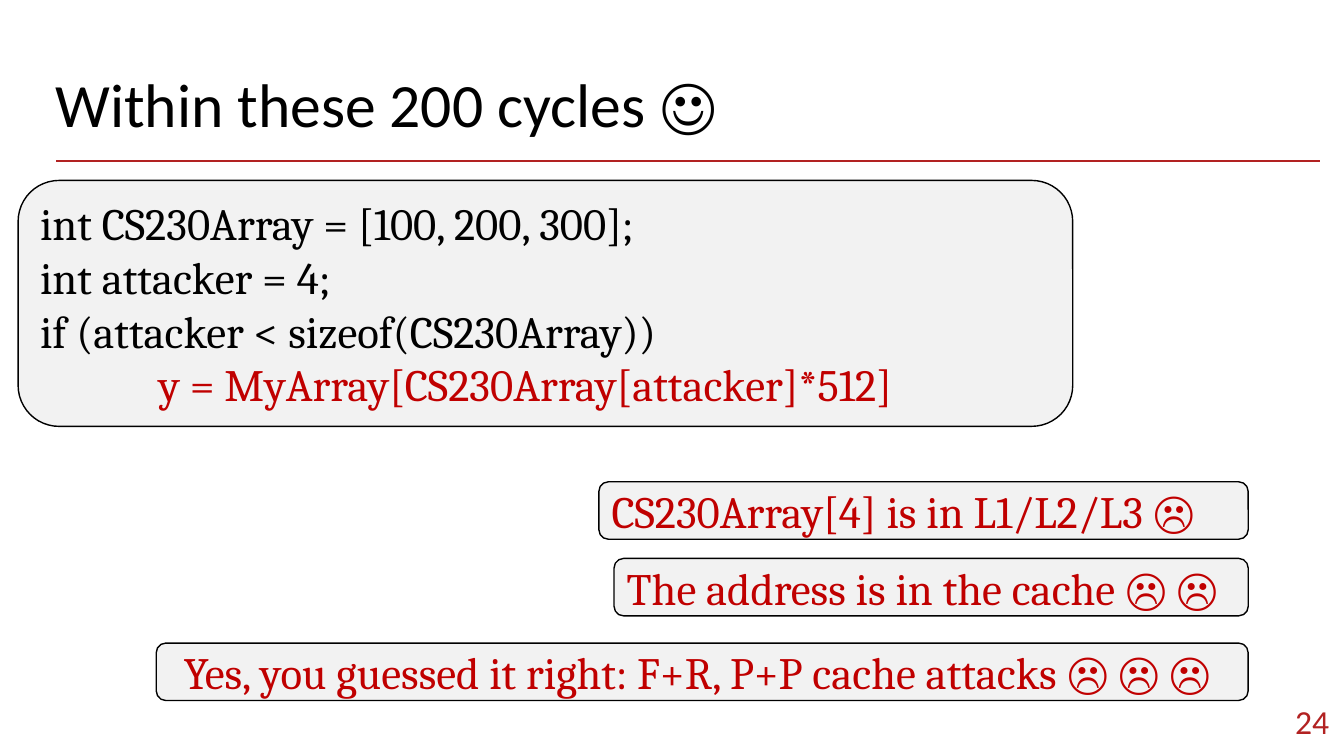
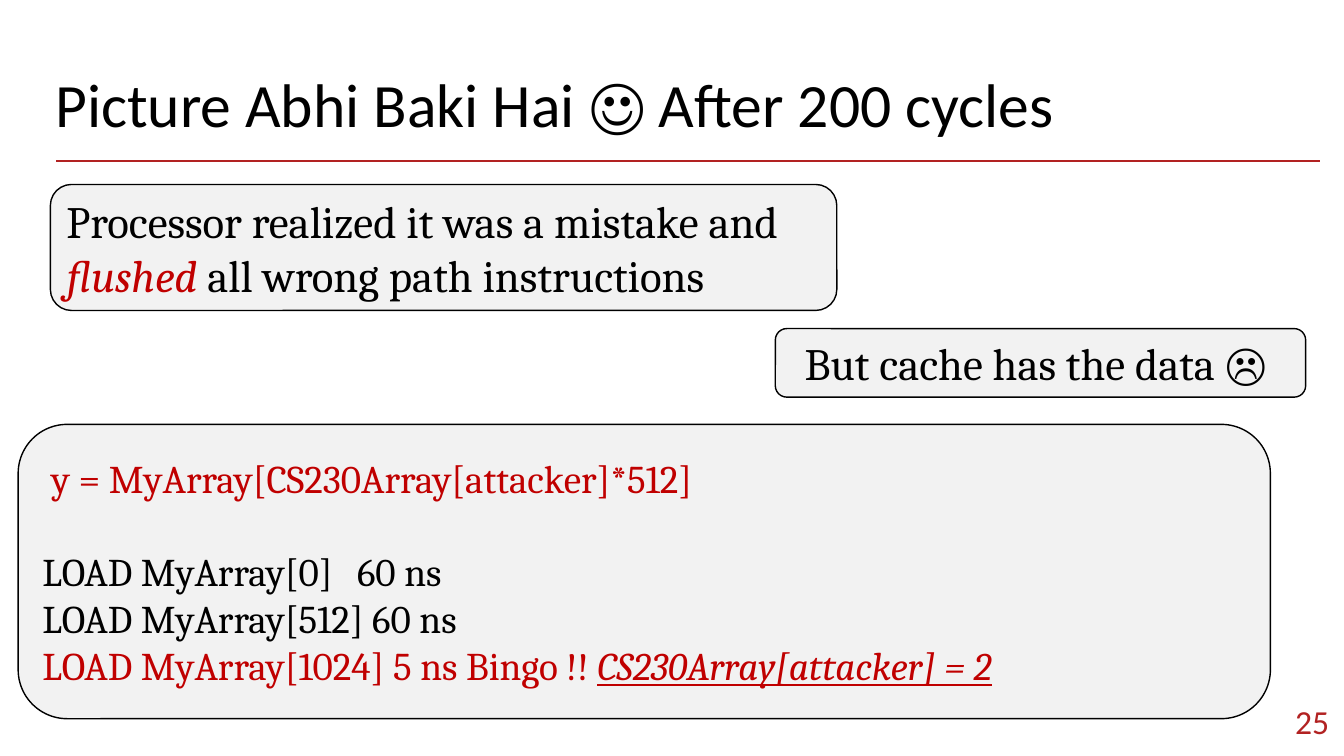
import pptx
import pptx.dml.color
import pptx.enum.shapes
import pptx.enum.text
import pptx.util
from lxml import etree
from pptx.oxml.ns import qn

Inches = pptx.util.Inches
Align = pptx.enum.text.PP_ALIGN
Anchor = pptx.enum.text.MSO_ANCHOR

BLACK = "000000"
RED = "C00000"
BRICK = "B22222"
PALE_GREY = "F2F2F2"
HEADING_FONT = "Calibri"
BODY_FONT = "Cambria"


def colour(hex_string):
    return pptx.dml.color.RGBColor.from_string(hex_string)


def add_run(paragraph, text, size, font_name, text_colour, emphasis=""):
    """Append one run; emphasis may hold i (italic) and u (underline)."""
    run = paragraph.add_run()
    run.text = text
    run.font.size = pptx.util.Pt(size)
    run.font.name = font_name
    run.font.color.rgb = colour(text_colour)
    if "i" in emphasis:
        run.font.italic = True
    if "u" in emphasis:
        run.font.underline = True


def add_label(slide, box, text, size, text_colour, align, anchor):
    """Add a one-line text box in the heading font."""
    label = slide.shapes.add_textbox(*map(Inches, box))
    frame = label.text_frame
    frame.word_wrap = True
    frame.vertical_anchor = anchor
    frame.margin_left = frame.margin_right = Inches(0.1)
    frame.margin_top = frame.margin_bottom = Inches(0.1)
    paragraph = frame.paragraphs[0]
    paragraph.alignment = align
    add_run(paragraph, text, size, HEADING_FONT, text_colour)
    return paragraph


def add_title_rule(slide):
    rule = slide.shapes.add_connector(
        pptx.enum.shapes.MSO_CONNECTOR.STRAIGHT,
        Inches(0.56), Inches(1.6), Inches(13.09), Inches(1.6))
    rule.line.color.rgb = colour(BRICK)
    rule.line.width = pptx.util.Pt(1.5)
    etree.SubElement(rule._element.spPr, qn("a:effectLst"))


def add_framed_slide(presentation, title, number):
    """Add a slide with the shared title, rule and page number."""
    slide = presentation.slides.add_slide(presentation.slide_layouts[6])
    add_title_rule(slide)
    heading = add_label(slide, (0.45, 0.64, 12.42, 0.84), title, 44, BLACK,
                        Align.LEFT, Anchor.TOP)
    heading.line_spacing = 0.9
    add_label(slide, (12.27, 6.87, 1.01, 0.57), str(number), 24, BRICK,
              Align.RIGHT, Anchor.MIDDLE)
    return slide


def add_panel(slide, box, lines, size=32, align=Align.LEFT):
    """Add a rounded panel; each line is a list of (text, colour, emphasis)."""
    panel = slide.shapes.add_shape(
        pptx.enum.shapes.MSO_SHAPE.ROUNDED_RECTANGLE, *map(Inches, box))
    panel.shadow.inherit = False
    panel.fill.solid()
    panel.fill.fore_color.rgb = colour(PALE_GREY)
    panel.line.color.rgb = colour(BLACK)
    panel.line.width = pptx.util.Pt(1)
    frame = panel.text_frame
    frame.word_wrap = True
    frame.vertical_anchor = Anchor.MIDDLE
    for index, runs in enumerate(lines):
        paragraph = frame.add_paragraph() if index else frame.paragraphs[0]
        paragraph.alignment = align
        for text, text_colour, *emphasis in runs:
            add_run(paragraph, text, size, BODY_FONT, text_colour, *emphasis)
    return frame.paragraphs


def add_tab_stop(paragraph, position):
    tab_list = etree.SubElement(paragraph._p.get_or_add_pPr(), qn("a:tabLst"))
    etree.SubElement(tab_list, qn("a:tab"), pos=str(Inches(position)), algn="l")


def build_speculation_slide(presentation):
    slide = add_framed_slide(presentation, "Within these 200 cycles ☺", 24)
    add_panel(slide, (0.18, 1.79, 10.46, 2.44), [
        [("int CS230Array = [100, 200, 300];", BLACK)],
        [("int attacker = 4;", BLACK)],
        [("if (attacker < sizeof(CS230Array))", BLACK)],
        [("            y = MyArray[CS230Array[attacker]*512]", RED)],
    ])
    right_edge = 12.38
    consequences = [
        (5.94, 4.78, "CS230Array[4] is in L1/L2/L3 ☹", Align.LEFT),
        (6.09, 5.54, "The address is in the cache ☹ ☹", Align.LEFT),
        (1.55, 6.38, "Yes, you guessed it right: F+R, P+P cache attacks ☹ ☹ ☹ ",
         Align.CENTER),
    ]
    for left, top, text, align in consequences:
        add_panel(slide, (left, top, right_edge - left, 0.57),
                  [[(text, RED)]], align=align)


def build_flush_slide(presentation):
    slide = add_framed_slide(
        presentation, "Picture Abhi Baki Hai ☺ After 200 cycles", 25)
    add_panel(slide, (0.5, 1.83, 7.8, 1.25), [
        [("Processor realized it was a mistake and", BLACK)],
        [("flushed", RED, "i"), (" all wrong path instructions", BLACK)],
    ])
    add_panel(slide, (7.69, 3.26, 5.26, 0.68),
              [[("But cache has the data ☹ ", BLACK)]], align=Align.CENTER)
    timings = add_panel(slide, (0.18, 4.21, 12.42, 2.92), [
        [(" y = MyArray[CS230Array[attacker]*512]", RED)],
        [("LOAD MyArray[0]\t60 ns", BLACK)],
        [("LOAD MyArray[512] 60 ns", BLACK)],
        [("LOAD MyArray[1024] 5 ns Bingo !! ", RED),
         ("CS230Array[attacker] = 2", RED, "iu")],
    ], size=28)
    first_load = timings[1]
    first_load.space_before = pptx.util.Pt(33)
    add_tab_stop(first_load, 3.12)


def main():
    presentation = pptx.Presentation()
    presentation.slide_width = Inches(13.33)
    presentation.slide_height = Inches(7.5)
    build_speculation_slide(presentation)
    build_flush_slide(presentation)
    presentation.save("out.pptx")


if __name__ == "__main__":
    main()
